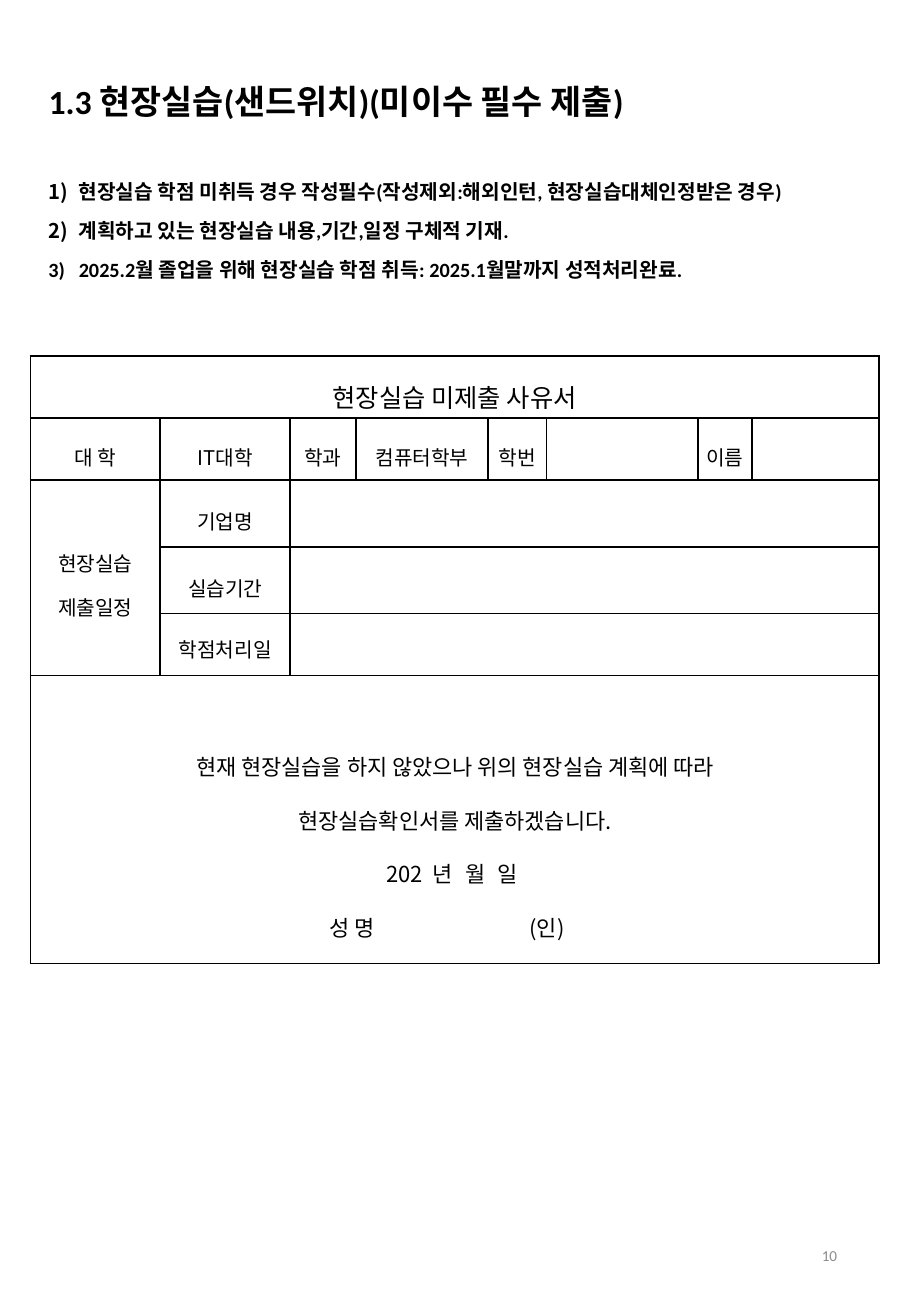
"""Build the field-practice non-submission form slide."""
from dataclasses import dataclass
from itertools import groupby

from lxml.etree import SubElement
from pptx import Presentation
from pptx.dml.color import RGBColor
from pptx.enum.text import MSO_ANCHOR, MSO_AUTO_SIZE, PP_ALIGN
from pptx.oxml.ns import qn
from pptx.util import Inches, Pt


@dataclass(frozen=True)
class Theme:
    font: str = "Calibri"
    ascii_font: str = "Noto Sans CJK KR"
    ink: RGBColor = RGBColor(0, 0, 0)
    paper: RGBColor = RGBColor(255, 255, 255)
    muted: RGBColor = RGBColor(0x8C, 0x8C, 0x8C)
    title: float = 20
    form_title: float = 15
    pledge: float = 13
    body: float = 12
    page: float = 9
    border: float = 1.13


THEME = Theme()
SLIDE_SIZE = (7.5, 10.83)
MARGIN = 0.3
TEXT_WIDTH = 6.68

TITLE = "1.3 현장실습(샌드위치)(미이수 필수 제출)"
GUIDELINES = [
    "현장실습 학점 미취득 경우 작성필수(작성제외:해외인턴, 현장실습대체인정받은 경우)",
    "계획하고 있는 현장실습 내용,기간,일정 구체적 기재.",
    "2025.2월 졸업을 위해 현장실습 학점 취득: 2025.1월말까지 성적처리완료.",
]
PAGE_NUMBER = "10"

FORM_COLUMNS = [1.07, 1.07, 0.54, 1.09, 0.48, 1.25, 0.44, 1.05]
FORM_ROWS = [0.51, 0.51, 0.55, 0.55, 0.51, 2.37]
MERGES = [(0, 0, 0, 7), (2, 0, 4, 0), (2, 2, 2, 7), (3, 2, 3, 7), (4, 2, 4, 7), (5, 0, 5, 7)]
DATE_STOPS = (2.91, 3.29, 3.56, 3.83)
SIGNATURE_STOPS = (2.44, 4.09)
FORM_TITLE = ["현장실습 미제출 사유서"]
STUDENT = ["대 학", "IT대학", "학과", "컴퓨터학부", "학번", "", "이름", ""]
SCHEDULE = ["현장실습", "제출일정"]
SCHEDULE_ITEMS = [("기업명", 1.5), ("실습기간", 1.5), ("학점처리일", 1.3)]
PLEDGE = [
    "현재 현장실습을 하지 않았으나 위의 현장실습 계획에 따라",
    "현장실습확인서를 제출하겠습니다.",
    ("202", "년", "월", "일"),
    ("성 명", "(인)"),
]
PLEDGE_STOPS = {2: DATE_STOPS, 3: SIGNATURE_STOPS}


def style(paragraph, size, color=THEME.ink, bold=False):
    font = paragraph.font
    font.name, font.size, font.bold = THEME.font, Pt(size), bold
    font.color.rgb = color


def add_box(slide, left, top, width, height):
    frame = slide.shapes.add_textbox(*map(Inches, (left, top, width, height))).text_frame
    frame.word_wrap = True
    return frame


def add_paragraph(frame, index):
    return frame.add_paragraph() if index else frame.paragraphs[0]


def add_tab_stops(paragraph, stops):
    tabs = SubElement(paragraph._p.get_or_add_pPr(), qn("a:tabLst"))
    for stop in stops:
        SubElement(tabs, qn("a:tab"), pos=str(Inches(stop)), algn="l")


def is_ascii_mark(character):
    return character.isascii() and not character.isspace()


def fill_cell(cell, lines, size=THEME.body, spacing=1.5, stops=None):
    for index, line in enumerate(lines):
        paragraph = add_paragraph(cell.text_frame, index)
        paragraph.alignment = PP_ALIGN.CENTER
        paragraph.line_spacing = spacing
        if stops and index in stops:
            paragraph.alignment = PP_ALIGN.LEFT
            add_tab_stops(paragraph, stops[index])
            line = "".join("\t" + part for part in line)
        style(paragraph, size)
        for ascii_mark, characters in groupby(line, is_ascii_mark):
            run = paragraph.add_run()
            run.text = "".join(characters)
            if ascii_mark:
                run.font.name = THEME.ascii_font


def format_cell(cell):
    cell.vertical_anchor = MSO_ANCHOR.MIDDLE
    cell.margin_left = cell.margin_right = cell.margin_top = cell.margin_bottom = Inches(0.02)
    properties = cell._tc.get_or_add_tcPr()
    for side in ("lnL", "lnR", "lnT", "lnB"):
        border = SubElement(properties, qn("a:" + side), w=str(Pt(THEME.border)))
        paint = SubElement(border, qn("a:solidFill"))
        SubElement(paint, qn("a:srgbClr"), val=str(THEME.ink))
    cell.fill.solid()
    cell.fill.fore_color.rgb = THEME.paper


def add_title(slide):
    title = slide.shapes.title
    title.left, title.top, title.width, title.height = map(Inches, (MARGIN, 0.6, TEXT_WIDTH, 0.5))
    frame = title.text_frame
    frame.text = TITLE
    frame.auto_size = MSO_AUTO_SIZE.NONE
    frame.vertical_anchor = MSO_ANCHOR.MIDDLE
    heading = frame.paragraphs[0]
    heading.alignment = PP_ALIGN.LEFT
    heading.line_spacing = 0.9
    style(heading, THEME.title, bold=True)


def add_guidelines(slide):
    frame = add_box(slide, MARGIN, 1.45, TEXT_WIDTH, 1.1)
    for index, guideline in enumerate(GUIDELINES):
        paragraph = add_paragraph(frame, index)
        paragraph.text = guideline
        properties = paragraph._p.get_or_add_pPr()
        properties.set("marL", str(Inches(0.25)))
        properties.set("indent", str(-Inches(0.25)))
        SubElement(properties, qn("a:buFont"), typeface=THEME.font)
        SubElement(properties, qn("a:buAutoNum"), type="arabicParenR")
        paragraph.line_spacing = 0.9
        if index:
            paragraph.space_before = Pt(10)
        style(paragraph, THEME.body, bold=True)


def add_form(slide):
    form = slide.shapes.add_table(
        len(FORM_ROWS), len(FORM_COLUMNS), Inches(0.25), Inches(2.93),
        Inches(sum(FORM_COLUMNS)), Inches(sum(FORM_ROWS))).table
    form.first_row = form.horz_banding = False
    for column, width in zip(form.columns, FORM_COLUMNS):
        column.width = Inches(width)
    for row, height in zip(form.rows, FORM_ROWS):
        row.height = Inches(height)
    for cell in form.iter_cells():
        format_cell(cell)
    for top, left, bottom, right in MERGES:
        form.cell(top, left).merge(form.cell(bottom, right))

    fill_cell(form.cell(0, 0), FORM_TITLE, THEME.form_title)
    for column, entry in enumerate(STUDENT):
        fill_cell(form.cell(1, column), [entry])
    fill_cell(form.cell(2, 0), SCHEDULE)
    for row, (item, spacing) in enumerate(SCHEDULE_ITEMS, start=2):
        fill_cell(form.cell(row, 1), [item], spacing=spacing)
    pledge = form.cell(5, 0)
    pledge.margin_top = Inches(0.28)
    fill_cell(pledge, PLEDGE, THEME.pledge, 1.7, PLEDGE_STOPS)


def add_page_number(slide):
    frame = add_box(slide, 5.3, 10.04, 1.69, 0.58)
    frame.vertical_anchor = MSO_ANCHOR.MIDDLE
    number = frame.paragraphs[0]
    number.text = PAGE_NUMBER
    number.alignment = PP_ALIGN.RIGHT
    style(number, THEME.page, THEME.muted)


def main():
    deck = Presentation()
    deck.slide_width, deck.slide_height = map(Inches, SLIDE_SIZE)
    slide = deck.slides.add_slide(deck.slide_layouts[5])
    add_title(slide)
    add_guidelines(slide)
    add_form(slide)
    add_page_number(slide)
    deck.save("out.pptx")


if __name__ == "__main__":
    main()
